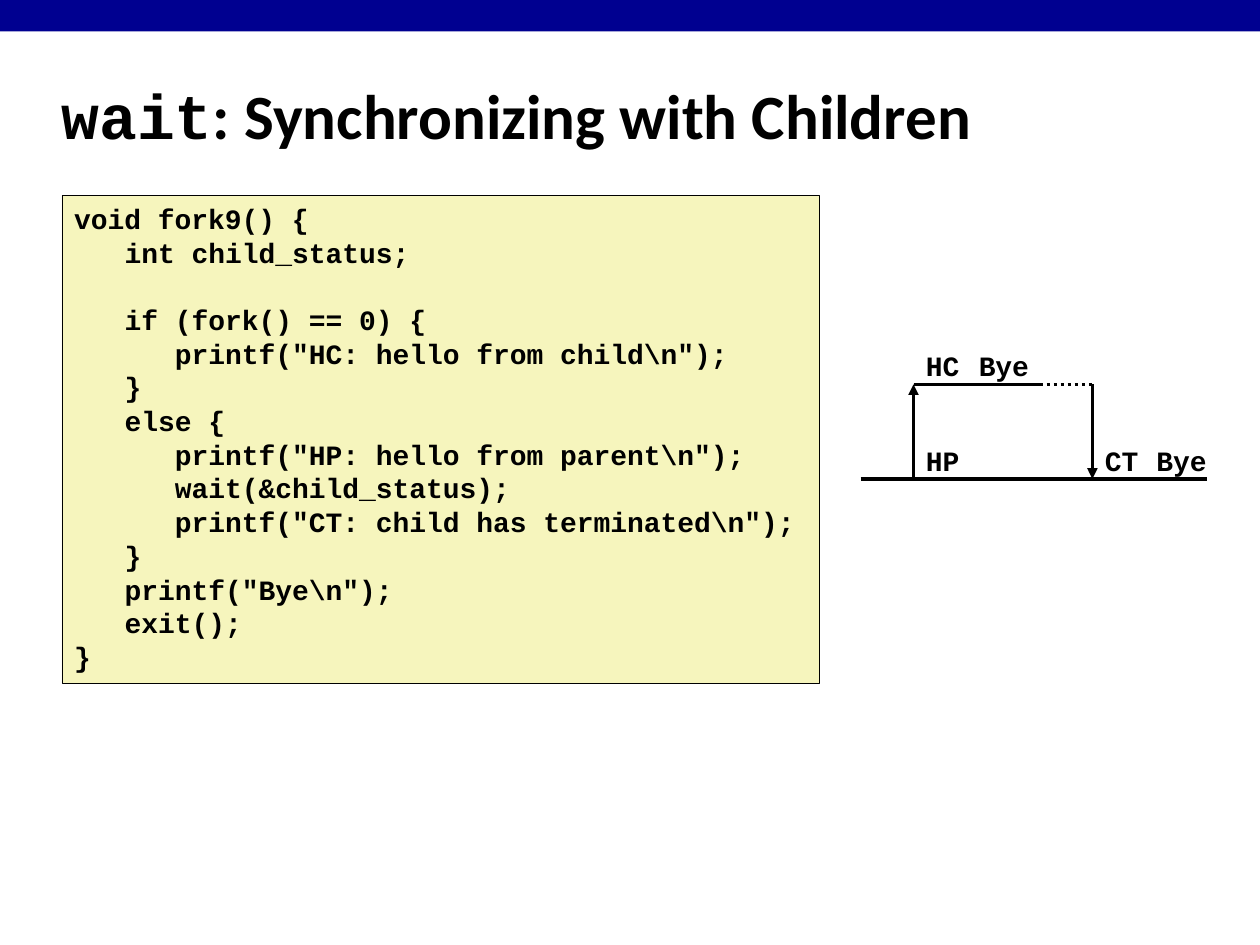
from lxml.etree import SubElement
from pptx import Presentation
from pptx.dml.color import RGBColor
from pptx.enum.dml import MSO_LINE
from pptx.enum.shapes import MSO_CONNECTOR, MSO_SHAPE
from pptx.enum.text import MSO_ANCHOR, PP_ALIGN
from pptx.oxml.ns import qn
from pptx.util import Inches, Pt

COLORS = {"banner": "000090", "code": "F6F5BD", "ink": "000000"}
CODE_FONT = "Courier New"
CODE_SIZE = 16
CODE_PITCH = 19.25
INDENT = 0.4

CODE_LINES = [
    (0, "void fork9() {"),
    (1, "int child_status;"),
    None,
    (1, "if (fork() == 0) {"),
    (2, 'printf("HC: hello from child\\n");'),
    (1, "}"),
    (1, "else {"),
    (2, 'printf("HP: hello from parent\\n");'),
    (2, "wait(&child_status);"),
    (2, 'printf("CT: child has terminated\\n");'),
    (1, "}"),
    (1, 'printf("Bye\\n");'),
    (1, "exit();"),
    (0, "}"),
]


def color(name):
    return RGBColor.from_string(COLORS[name])


def style_font(font, name, size):
    font.name = name
    font.size = Pt(size)
    font.bold = True
    font.color.rgb = color("ink")


def style_code(paragraph):
    paragraph.alignment = PP_ALIGN.LEFT
    paragraph.line_spacing = Pt(CODE_PITCH)
    style_font(paragraph.font, CODE_FONT, CODE_SIZE)


def add_box(slide, left, top, width, height, fill):
    shape = slide.shapes.add_shape(
        MSO_SHAPE.RECTANGLE, Inches(left), Inches(top), Inches(width), Inches(height))
    shape.shadow.inherit = False
    shape.fill.solid()
    shape.fill.fore_color.rgb = color(fill)
    shape.line.fill.background()
    return shape


def add_line(slide, start, end, arrow=False, dotted=False):
    points = [Inches(value) for value in (*start, *end)]
    connector = slide.shapes.add_connector(MSO_CONNECTOR.STRAIGHT, *points)
    connector.line.color.rgb = color("ink")
    connector.line.width = Pt(2)
    if dotted:
        connector.line.dash_style = MSO_LINE.ROUND_DOT
    if arrow:
        SubElement(connector.line._get_or_add_ln(), qn("a:tailEnd"), type="triangle")
    SubElement(connector._element.spPr, qn("a:effectLst"))


def add_label(slide, text, left, baseline):
    width = 0.2 + len(text) * CODE_SIZE * 0.6 / 72
    box = slide.shapes.add_textbox(
        Inches(left), Inches(baseline - 0.33), Inches(width), Inches(0.37))
    box.text_frame.word_wrap = False
    paragraph = box.text_frame.paragraphs[0]
    paragraph.text = text
    style_code(paragraph)


def add_title(slide, left, top, width, height):
    box = slide.shapes.add_textbox(
        Inches(left), Inches(top), Inches(width), Inches(height))
    frame = box.text_frame
    frame.word_wrap = True
    frame.vertical_anchor = MSO_ANCHOR.MIDDLE
    for text, font_name in (("wait", CODE_FONT), (": Synchronizing with Children", "Calibri")):
        run = frame.paragraphs[0].add_run()
        run.text = text
        style_font(run.font, font_name, 36)


def add_code(slide, left, top, width, height):
    shape = add_box(slide, left, top, width, height, "code")
    shape.line.color.rgb = color("ink")
    shape.line.width = Pt(0.25)
    frame = shape.text_frame
    frame.word_wrap = True
    frame.vertical_anchor = MSO_ANCHOR.TOP
    paragraph = frame.paragraphs[0]
    gap = 0
    for index, line in enumerate(CODE_LINES):
        if line is None:
            gap = CODE_PITCH
            continue
        if index:
            paragraph = frame.add_paragraph()
        level, paragraph.text = line
        style_code(paragraph)
        paragraph.space_before = Pt(gap)
        paragraph._p.get_or_add_pPr().set("marL", str(Inches(level * INDENT)))
        gap = 0


def add_process_graph(slide, left, top, width, height):
    right, parent, child = left + width, top + height, top
    fork, printed, ended, joined, bye = (
        left + offset for offset in (0.42, 0.84, 1.42, 1.84, 2.25))

    stops = [left, fork, printed, ended, joined, bye, right]
    for start, end in zip(stops, stops[1:]):
        add_line(slide, (start, parent), (end, parent))
    add_line(slide, (fork, parent), (fork, child), arrow=True)
    add_line(slide, (fork, child), (printed, child))
    add_line(slide, (printed, child), (ended, child))
    add_line(slide, (ended, child), (joined, child), dotted=True)
    add_line(slide, (joined, child), (joined, parent), arrow=True)

    for text, position, baseline in (
            ("HC", fork, child), ("Bye", printed, child),
            ("HP", fork, parent), ("CT", joined, parent), ("Bye", bye, parent)):
        add_label(slide, text, position, baseline)


def main():
    presentation = Presentation()
    presentation.slide_width = Inches(10)
    presentation.slide_height = Inches(7.5)
    slide = presentation.slides.add_slide(presentation.slide_layouts[6])
    add_box(slide, 0, 0, 10, 0.25, "banner")
    add_title(slide, 0.39, 0.49, 8.3, 0.83)
    add_code(slide, 0.49, 1.55, 6.01, 3.87)
    add_process_graph(slide, 6.83, 3.05, 2.75, 0.75)
    presentation.save("out.pptx")


if __name__ == "__main__":
    main()
